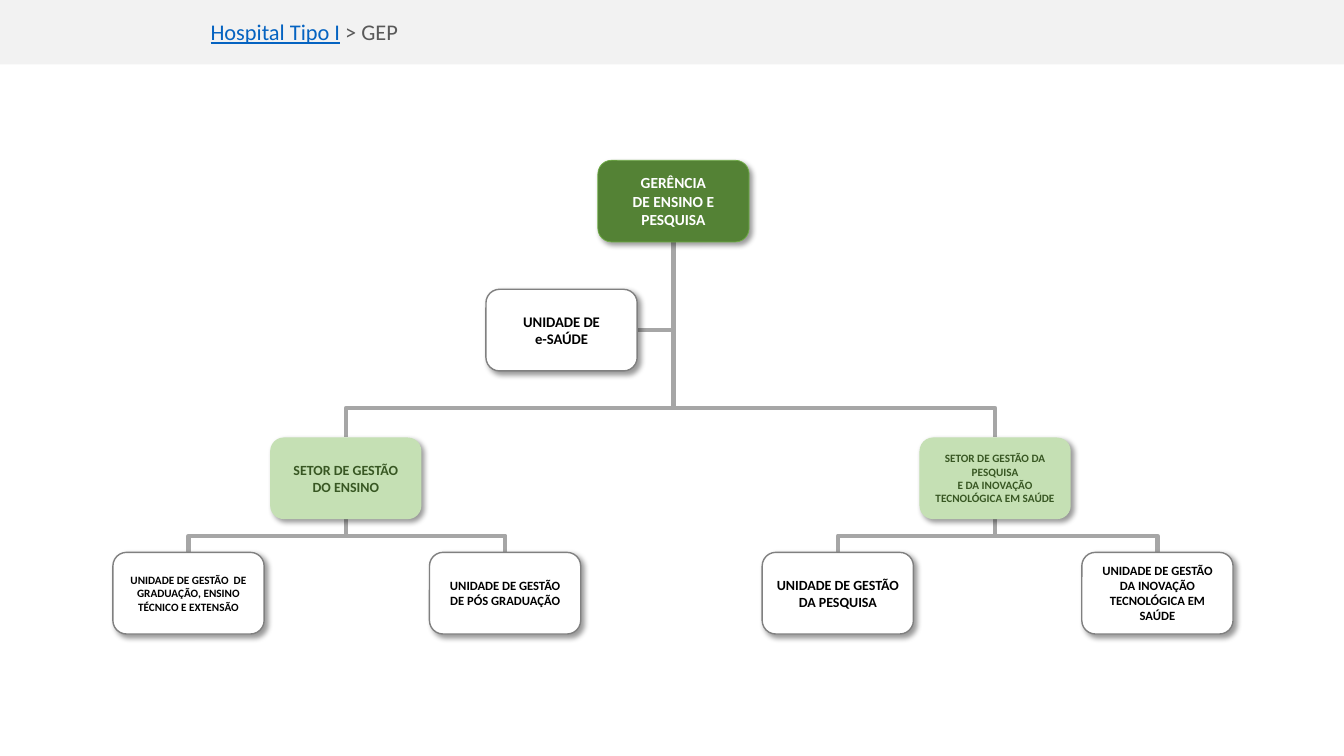
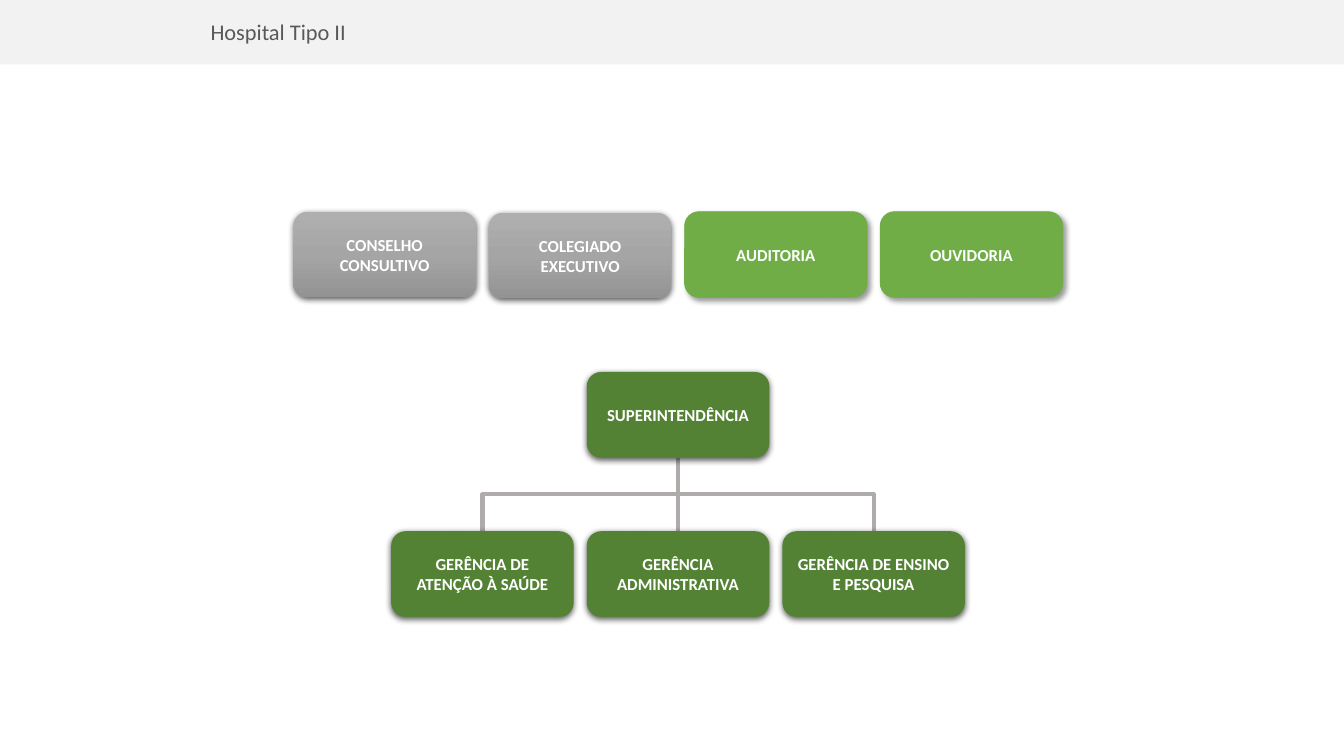
from copy import deepcopy
from pptx import Presentation
from pptx.dml.color import RGBColor
from pptx.enum import shapes, text
from pptx.oxml import ns, xmlchemy
from pptx.util import Inches, Pt

FONT = "Calibri"
BAND, GRAY, BLUE = "F2F2F2", "595959", "0563C1"
SOFT = (40, 4, 3, 45)
DEEP = (63, 4.5, 1.5, 90)
STYLES = {
    "head": ("548235", ("70AD47", 0.5), "FFFFFF", SOFT),
    "sector": ("C5E0B4", None, "385723", SOFT),
    "unit": ("FFFFFF", ("808080", 1), "000000", SOFT),
    "dark": ("548235", None, "FFFFFF", DEEP),
    "light": ("70AD47", ("70AD47", 0.5), "FFFFFF", SOFT),
    "gray": (("AFAFAF", "A5A5A5", "939393"), None, "FFFFFF", DEEP),
}

COL, LEFT = 1.94, 2.91
COLS = [LEFT + COL * i for i in range(4)]
MIDS = [LEFT + COL * (i + 0.5) for i in range(3)]

CHARTS = [
    {
        "title": [("Hospital Tipo I", BLUE, True), (" > GEP", GRAY, False)],
        "size": (1.5, 0.81),
        "line": "A6A6A6",
        "boxes": {
            "gep": (5.93, 1.59, "head", 11, ["GERÊNCIA", "DE ENSINO E PESQUISA"]),
            "saude": (4.82, 2.87, "unit", 10.5, ["UNIDADE DE", "e-SAÚDE"]),
            "ensino": (2.68, 4.34, "sector", 10, ["SETOR DE GESTÃO DO ENSINO"]),
            "pesq": (9.12, 4.34, "sector", 8,
                     ["SETOR DE GESTÃO DA PESQUISA", "E DA INOVAÇÃO TECNOLÓGICA EM SAÚDE"]),
            "grad": (1.12, 5.48, "unit", 8,
                     ["UNIDADE DE GESTÃO  DE GRADUAÇÃO, ENSINO TÉCNICO E EXTENSÃO"]),
            "pos": (4.26, 5.48, "unit", 9, ["UNIDADE DE GESTÃO DE PÓS GRADUAÇÃO"]),
            "unit": (7.56, 5.48, "unit", 10, ["UNIDADE DE GESTÃO DA PESQUISA"]),
            "inov": (10.73, 5.48, "unit", 9,
                     ["UNIDADE DE GESTÃO DA INOVAÇÃO TECNOLÓGICA EM SAÚDE"]),
        },
        "links": [("gep", ["ensino", "pesq"], 0.85), ("gep", ["saude"], None),
                  ("ensino", ["grad", "pos"], 0.5), ("pesq", ["unit", "inov"], 0.5)],
    },
    {
        "title": [("Hospital Tipo II", GRAY, False)],
        "size": (1.81, 0.85),
        "line": "AFABAB",
        "boxes": {
            "cons": (COLS[0], 2.1, "gray", 12, ["CONSELHO CONSULTIVO"]),
            "col": (COLS[1], 2.11, "gray", 12, ["COLEGIADO EXECUTIVO"]),
            "aud": (COLS[2], 2.1, "light", 12, ["AUDITORIA"]),
            "ouv": (COLS[3], 2.1, "light", 12, ["OUVIDORIA"]),
            "super": (MIDS[1], 3.69, "dark", 12, ["SUPERINTENDÊNCIA"]),
            "gas": (MIDS[0], 5.27, "dark", 12, ["GERÊNCIA DE ATENÇÃO À SAÚDE"]),
            "ga": (MIDS[1], 5.27, "dark", 12, ["GERÊNCIA ADMINISTRATIVA"]),
            "gep": (MIDS[2], 5.27, "dark", 12, ["GERÊNCIA DE ENSINO E PESQUISA"]),
        },
        "links": [("super", ["gas", "ga", "gep"], 0.5)],
    },
]


def rgb(code):
    return RGBColor.from_string(code)


def node(parent, tag, **attrs):
    child = xmlchemy.OxmlElement(tag)
    for key, val in attrs.items():
        child.set(key, str(val))
    parent.append(child)
    return child


def paint(shape, color):
    if isinstance(color, str):
        shape.fill.solid()
        shape.fill.fore_color.rgb = rgb(color)
        return
    shape.fill.gradient()
    shape.fill.gradient_angle = 270
    stops = shape._element.spPr.find(".//" + ns.qn("a:gsLst"))
    stops.insert(1, deepcopy(stops[0]))
    for stop, place, code in zip(shape.fill.gradient_stops, (0, 0.5, 1), color):
        stop.position = place
        stop.color.rgb = rgb(code)


def shade(shape, alpha, blur, dist, angle):
    shape.shadow.inherit = False
    effect = shape._element.spPr.find(ns.qn("a:effectLst"))
    outer = node(effect, "a:outerShdw", blurRad=Pt(blur), dist=Pt(dist),
                 dir=angle * 60000, algn="ctr", rotWithShape=0)
    node(node(outer, "a:srgbClr", val="000000"), "a:alpha", val=alpha * 1000)


def head(slide, runs):
    band = slide.shapes.add_shape(shapes.MSO_SHAPE.RECTANGLE, 0, 0, Inches(13.33), Inches(0.64))
    paint(band, BAND)
    band.line.fill.background()
    band.shadow.inherit = False
    title = slide.shapes.add_textbox(Inches(1.99), Inches(0.13), Inches(11.24), Inches(0.52))
    title.text_frame.word_wrap = True
    para = title.text_frame.paragraphs[0]
    para.font.name, para.font.size = FONT, Pt(16)
    for words, color, under in runs:
        run = para.add_run()
        run.text = words
        run.font.color.rgb = rgb(color)
        run.font.underline = under


def box(slide, dims, x, y, style, size, lines):
    fill, edge, ink, shadow = STYLES[style]
    shape = slide.shapes.add_shape(shapes.MSO_SHAPE.ROUNDED_RECTANGLE,
                                   *map(Inches, (x, y, *dims)))
    paint(shape, fill)
    if edge:
        shape.line.color.rgb = rgb(edge[0])
        shape.line.width = Pt(edge[1])
    else:
        shape.line.fill.background()
    shade(shape, *shadow)
    frame = shape.text_frame
    frame.word_wrap = True
    frame.vertical_anchor = text.MSO_ANCHOR.MIDDLE
    frame.text = "\n".join(lines)
    for para in frame.paragraphs:
        para.alignment = text.PP_ALIGN.CENTER
        font = para.font
        font.name, font.size, font.bold = FONT, Pt(size), True
        font.color.rgb = rgb(ink)


def link(slide, start, end, bend, color):
    (x1, y1), (x2, y2) = start, end
    kind = shapes.MSO_CONNECTOR
    if x1 == x2:
        line = slide.shapes.add_connector(kind.STRAIGHT, *map(Inches, (x1, y1, x2, y2)))
    else:
        midx, midy = (x1 + x2) / 2, (y1 + y2) / 2
        wide, tall = (y2 - y1) / 2, abs(x2 - x1) / 2
        side = 1 if x2 < x1 else -1
        line = slide.shapes.add_connector(kind.ELBOW, *map(Inches, (
            midx - side * wide, midy - tall, midx + side * wide, midy + tall)))
        props = line._element.spPr
        props.find(ns.qn("a:xfrm")).set("rot", str((90 if side > 0 else 270) * 60000))
        geom = props.find(ns.qn("a:prstGeom"))
        if bend is None:
            geom.set("prst", "bentConnector2")
        else:
            node(geom.find(ns.qn("a:avLst")), "a:gd", name="adj1",
                 fmla=f"val {round(bend * 100000)}")
    line.line.color.rgb = rgb(color)
    line.line.width = Pt(3)
    node(line._element.spPr, "a:effectLst")


def draw(slide, chart):
    head(slide, chart["title"])
    wide, tall = chart["size"]
    boxes = chart["boxes"]
    for top, kids, bend in chart["links"]:
        x, y = boxes[top][:2]
        for kid in kids:
            kx, ky = boxes[kid][:2]
            end = (kx + wide, ky + tall / 2) if bend is None else (kx + wide / 2, ky)
            link(slide, (x + wide / 2, y + tall), end, bend, chart["line"])
    for item in boxes.values():
        box(slide, chart["size"], *item)


def main():
    deck = Presentation()
    deck.slide_width, deck.slide_height = Inches(13.33), Inches(7.5)
    for chart in CHARTS:
        draw(deck.slides.add_slide(deck.slide_layouts[6]), chart)
    deck.save("out.pptx")


if __name__ == "__main__":
    main()
